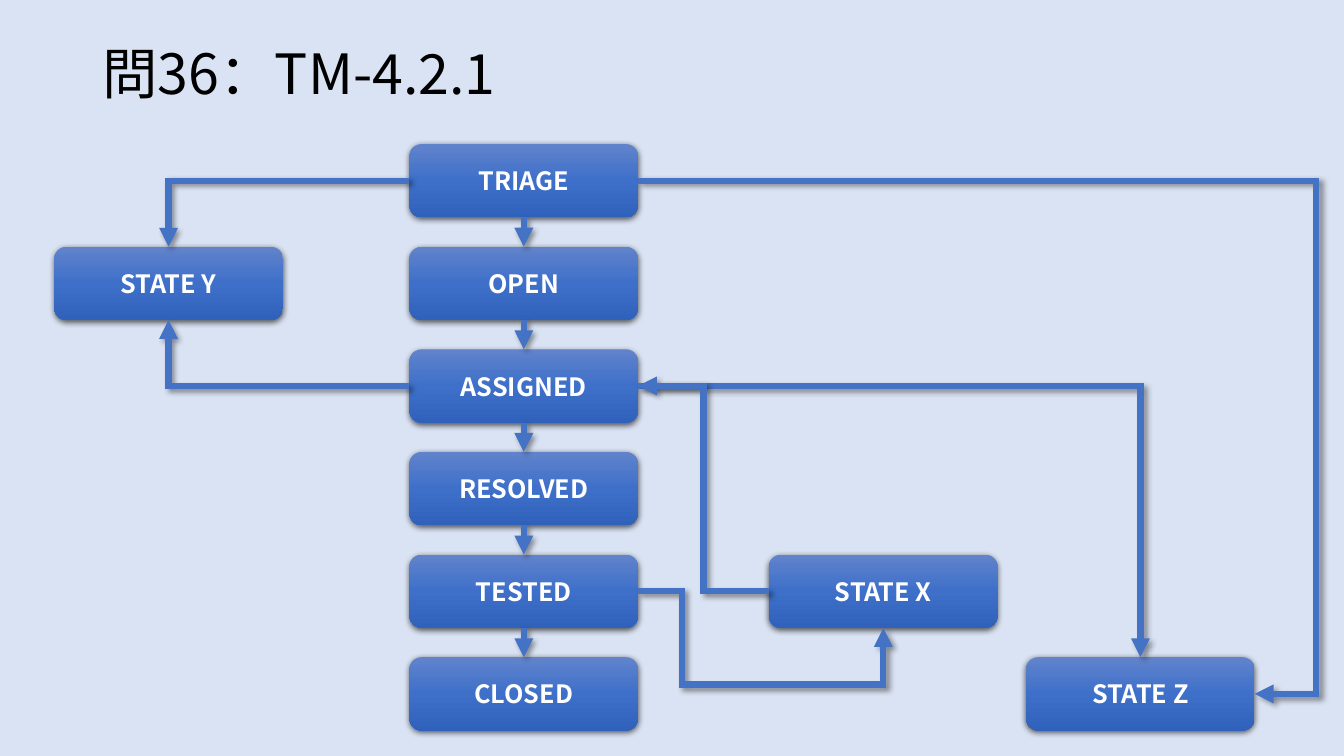
"""Build a slide showing the state transitions of a defect workflow."""
from copy import deepcopy
from dataclasses import dataclass

from lxml.etree import SubElement
from pptx import Presentation
from pptx.dml.color import RGBColor
from pptx.enum.shapes import MSO_CONNECTOR, MSO_SHAPE
from pptx.enum.text import MSO_ANCHOR, PP_ALIGN
from pptx.oxml.ns import qn
from pptx.shapes.autoshape import Shape
from pptx.shapes.connector import Connector
from pptx.slide import Slide
from pptx.util import Cm, Pt

COLORS = {
    "background": "DAE3F3",
    "title": "000000",
    "label": "FFFFFF",
    "box_top": "6183CB",
    "box_middle": "3E70CA",
    "box_bottom": "3062BB",
    "arrow": "4472C4",
    "shadow": "000000",
}
FONT = "Noto Sans CJK JP"
BOX_WIDTH, BOX_HEIGHT = 5.76, 1.85
FIRST_TOP, LAST_TOP = 3.63, 16.56
ROW_PITCH = (LAST_TOP - FIRST_TOP) / 5
MAIN_LEFT = 10.32
TOP, LEFT, BOTTOM, RIGHT = range(4)


@dataclass(frozen=True)
class State:
    name: str
    left: float
    row: int


@dataclass(frozen=True)
class Transition:
    source: str
    source_side: int
    target: str
    target_side: int
    geometry: str
    adjustments: tuple[float, ...] = ()


MAIN_STATES = ("TRIAGE", "OPEN", "ASSIGNED", "RESOLVED", "TESTED", "CLOSED")
STATES = [State(name, MAIN_LEFT, row) for row, name in enumerate(MAIN_STATES)] + [
    State("STATE Y", 1.37, 1),
    State("STATE X", 19.38, 4),
    State("STATE Z", 25.86, 5),
]
TRANSITIONS = [
    Transition("TRIAGE", LEFT, "STATE Y", TOP, "bentConnector2"),
    Transition("TRIAGE", RIGHT, "STATE Z", RIGHT, "bentConnector3", (1.1,)),
    Transition("ASSIGNED", RIGHT, "STATE Z", TOP, "bentConnector2"),
    Transition("ASSIGNED", LEFT, "STATE Y", BOTTOM, "bentConnector2"),
    Transition("STATE X", LEFT, "ASSIGNED", RIGHT, "bentConnector3", (0.5,)),
    Transition("TESTED", RIGHT, "STATE X", BOTTOM, "bentConnector4", (0.18, 2.54)),
] + [
    Transition(source, BOTTOM, target, TOP, "straightConnector1")
    for source, target in zip(MAIN_STATES, MAIN_STATES[1:])
]


def color(name: str) -> RGBColor:
    """Return a named colour."""
    return RGBColor.from_string(COLORS[name])


def write_text(shape: Shape, text: str, size: float, color_name: str, bold: bool, alignment: PP_ALIGN) -> None:
    """Put one formatted paragraph into a shape."""
    frame = shape.text_frame
    frame.text = text
    frame.word_wrap = True
    frame.vertical_anchor = MSO_ANCHOR.MIDDLE
    paragraph = frame.paragraphs[0]
    paragraph.alignment = alignment
    font = paragraph.font
    font.name, font.size, font.bold = FONT, Pt(size), bold
    font.color.rgb = color(color_name)
    properties = paragraph._p.pPr.find(qn("a:defRPr"))
    SubElement(properties, qn("a:ea"), typeface=FONT)


def add_shadow(shape: Shape | Connector, blur: float, distance: float, angle: int, opacity: int) -> None:
    """Give a shape or connector an outer shadow."""
    effects = SubElement(shape._element.spPr, qn("a:effectLst"))
    shadow = SubElement(
        effects, qn("a:outerShdw"), blurRad=str(Pt(blur)), dist=str(Pt(distance)),
        dir=str(angle * 60000), algn="ctr", rotWithShape="0",
    )
    shadow_color = SubElement(shadow, qn("a:srgbClr"), val=COLORS["shadow"])
    SubElement(shadow_color, qn("a:alpha"), val=str(opacity * 1000))


def fill_gradient(shape: Shape) -> None:
    """Fill a shape with the three-stop vertical gradient."""
    shape.fill.gradient()
    shape.fill.gradient_angle = 270
    stop_list = shape._element.spPr.find(qn("a:gradFill")).find(qn("a:gsLst"))
    stop_list.append(deepcopy(stop_list[0]))
    names = ("box_top", "box_middle", "box_bottom")
    for index, (stop, name) in enumerate(zip(shape.fill.gradient_stops, names)):
        stop.position = index / 2
        stop.color.rgb = color(name)


def add_state(slide: Slide, state: State) -> Shape:
    """Draw the box of one state."""
    shape = slide.shapes.add_shape(
        MSO_SHAPE.ROUNDED_RECTANGLE, Cm(state.left), Cm(FIRST_TOP + state.row * ROW_PITCH),
        Cm(BOX_WIDTH), Cm(BOX_HEIGHT),
    )
    fill_gradient(shape)
    shape.line.fill.background()
    add_shadow(shape, 4.5, 1.5, 90, 63)
    write_text(shape, state.name, 18, "label", True, PP_ALIGN.CENTER)
    return shape


def add_transition(slide: Slide, transition: Transition, boxes: dict[str, Shape]) -> None:
    """Draw the arrow of one transition between two boxes."""
    connector = slide.shapes.add_connector(MSO_CONNECTOR.ELBOW, 0, 0, 0, 0)
    connector.begin_connect(boxes[transition.source], transition.source_side)
    connector.end_connect(boxes[transition.target], transition.target_side)
    connector.line.color.rgb = color("arrow")
    connector.line.width = Pt(4.5)
    properties = connector._element.spPr
    geometry = properties.find(qn("a:prstGeom"))
    geometry.set("prst", transition.geometry)
    guides = geometry.find(qn("a:avLst"))
    for number, value in enumerate(transition.adjustments, start=1):
        SubElement(guides, qn("a:gd"), name=f"adj{number}", fmla=f"val {round(value * 100000)}")
    line = properties.find(qn("a:ln"))
    SubElement(line, qn("a:miter"), lim="800000")
    SubElement(line, qn("a:tailEnd"), type="triangle")
    add_shadow(connector, 4, 3, 45, 40)


def main() -> None:
    """Build and save the presentation."""
    presentation = Presentation()
    presentation.slide_width, presentation.slide_height = Cm(33.87), Cm(19.05)
    slide = presentation.slides.add_slide(presentation.slide_layouts[5])
    slide.background.fill.solid()
    slide.background.fill.fore_color.rgb = color("background")

    title = slide.shapes.title
    title.left, title.top, title.width, title.height = Cm(2.33), Cm(1.01), Cm(29.21), Cm(1.85)
    write_text(title, "問36：TM-4.2.1", 39.6, "title", False, PP_ALIGN.LEFT)
    title.text_frame.paragraphs[0].line_spacing = 0.9

    boxes = {state.name: add_state(slide, state) for state in STATES}
    for transition in TRANSITIONS:
        add_transition(slide, transition, boxes)
    presentation.save("out.pptx")


if __name__ == "__main__":
    main()
